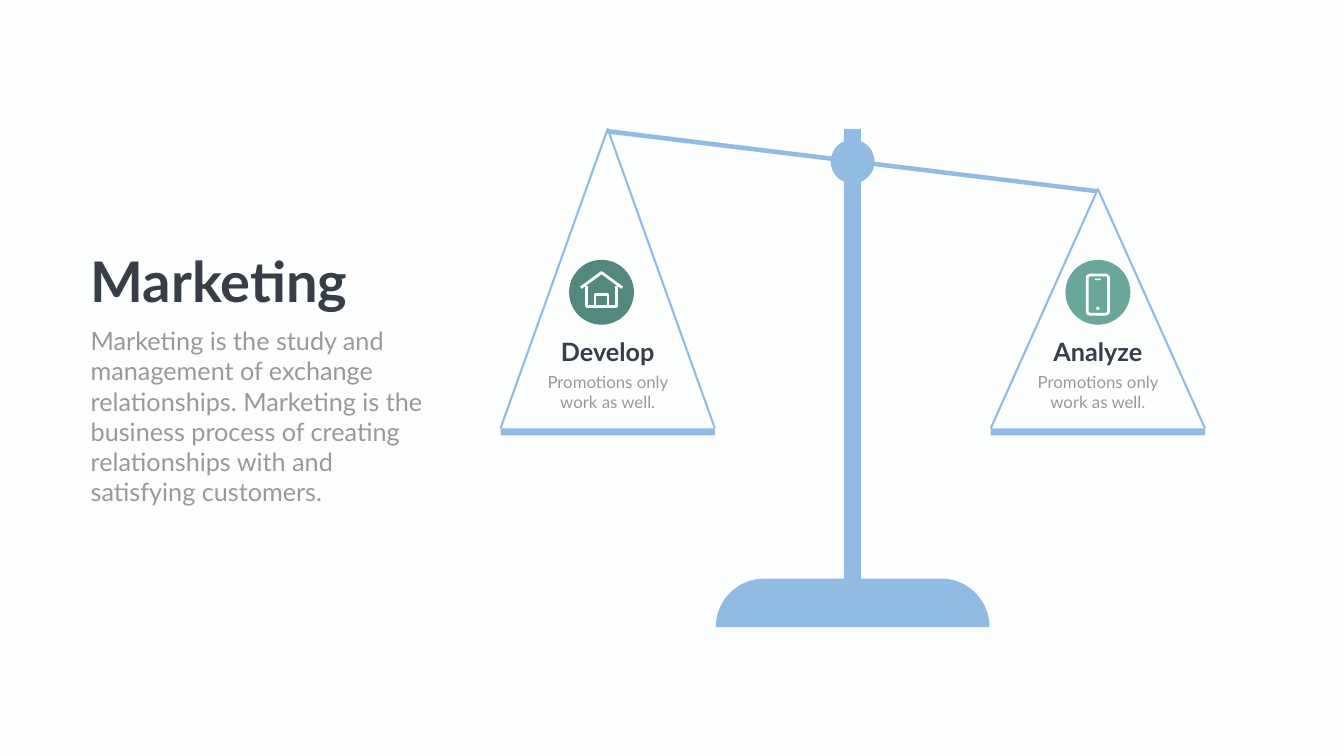
"""Build a slide with a tilted balance scale comparing two marketing steps."""
from math import cos, pi, sin

from pptx import Presentation
from pptx.dml.color import RGBColor
from pptx.enum.shapes import MSO_SHAPE
from pptx.enum.text import MSO_AUTO_SIZE, PP_ALIGN
from pptx.util import Cm, Pt

RECT, OVAL, ROUNDED = MSO_SHAPE.RECTANGLE, MSO_SHAPE.OVAL, MSO_SHAPE.ROUNDED_RECTANGLE
LEFT, CENTER = PP_ALIGN.LEFT, PP_ALIGN.CENTER
FIT = MSO_AUTO_SIZE.SHAPE_TO_FIT_TEXT
FONT = "Lato"
COLORS = {
    "background": "FDFFFE",
    "scale": "91BBE3",
    "develop": "52887E",
    "analyze": "69A79B",
    "icon": "FFFFFF",
    "title": "363E48",
    "body": "999999",
}
PAN_Y, PAN_W, PAN_H = 21.59, 10.8, 0.35
DISC_Y, DISC_D = 14.73, 3.27
ICON_LINE = 4


def rgb(name):
    """Return the named colour."""
    return RGBColor.from_string(COLORS[name])


def paint(sp, fill=None, line=None, width=3):
    """Set fill and line of a shape and drop its shadow."""
    sp.shadow.inherit = False
    if fill:
        sp.fill.solid()
        sp.fill.fore_color.rgb = rgb(fill)
    else:
        sp.fill.background()
    if line:
        sp.line.color.rgb = rgb(line)
        sp.line.width = Pt(width)
    else:
        sp.line.fill.background()
    return sp


def add_shape(s, kind, x, y, w, h, **style):
    """Add a preset shape by its top left corner."""
    return paint(s.shapes.add_shape(kind, Cm(x), Cm(y), Cm(w), Cm(h)), **style)


def add_centered(s, kind, cx, cy, w, h, **style):
    """Add a preset shape by its centre."""
    return add_shape(s, kind, cx - w / 2, cy - h / 2, w, h, **style)


def add_outline(s, points, close=False, **style):
    """Add a freeform through points."""
    start, *rest = [(Cm(x), Cm(y)) for x, y in points]
    builder = s.shapes.build_freeform(*start)
    builder.add_line_segments(rest, close=close)
    return paint(builder.convert_to_shape(), **style)


def add_text(s, text, x, y, w, h, size=36, color="body", bold=False, align=LEFT):
    """Add a wrapped text box with one formatted paragraph."""
    tf = s.shapes.add_textbox(Cm(x), Cm(y), Cm(w), Cm(h)).text_frame
    tf.word_wrap = True
    tf.auto_size = FIT
    p = tf.paragraphs[0]
    p.alignment = align
    r = p.add_run()
    r.text = text
    r.font.name, r.font.size, r.font.bold = FONT, Pt(size), bold
    r.font.color.rgb = rgb(color)


def add_base(s, x, y, w, h):
    """Add the foot, whose top corners are quarter circles of full height."""
    angles = [i * pi / 48 for i in range(25)]
    left = [(x + h - h * cos(a), y + h - h * sin(a)) for a in angles]
    right = [(2 * x + w - px, py) for px, py in reversed(left)]
    add_outline(s, left + right, close=True, fill="scale")


def add_stand(s):
    """Add pillar, tilted beam, foot and hub."""
    add_shape(s, RECT, 42.52, 6.5, 0.86, 23.62, fill="scale")
    beam = [(30.63, 6.5), (55.32, 9.53), (55.27, 9.75), (30.58, 6.73)]
    add_outline(s, beam, close=True, fill="scale")
    add_base(s, 36.07, 29.16, 13.79, 2.44)
    add_centered(s, OVAL, 42.96, 8.14, 2.21, 2.21, fill="scale")


def add_house(s, cx, cy):
    """Draw a house icon around a centre."""
    roof = [(-1.04, -0.23), (0, -0.99), (1.04, -0.23)]
    walls = [(-0.76, -0.33), (-0.76, 0.7), (0.76, 0.7), (0.76, -0.33)]
    door = [(-0.33, 0.7), (-0.33, 0.13), (0.33, 0.13), (0.33, 0.7)]
    for part in (roof, walls, door):
        points = [(cx + dx, cy + dy) for dx, dy in part]
        add_outline(s, points, line="icon", width=ICON_LINE)


def add_phone(s, cx, cy):
    """Draw a phone icon around a centre."""
    body = add_centered(s, ROUNDED, cx, cy + 0.12, 1.08, 1.97, line="icon", width=ICON_LINE)
    body.adjustments[0] = 0.14
    add_centered(s, OVAL, cx, cy + 0.81, 0.17, 0.17, fill="icon")
    speaker = add_centered(s, ROUNDED, cx, cy - 0.65, 0.3, 0.08, fill="icon")
    speaker.adjustments[0] = 0.5


def add_pan(s, cx, top, title, disc_x, color, icon):
    """Add a hanging pan with its icon, title and text."""
    x = cx - PAN_W / 2
    add_shape(s, RECT, x, PAN_Y, PAN_W, PAN_H, fill="scale")
    add_outline(s, [(x, PAN_Y), (cx, top), (x + PAN_W, PAN_Y)], line="scale")
    add_centered(s, OVAL, disc_x, DISC_Y, DISC_D, DISC_D, fill=color)
    icon(s, disc_x, DISC_Y)
    add_text(s, title, cx - 3.32, 16.81, 6.64, 1.8, color="title", bold=True, align=CENTER)
    add_text(s, "Promotions only work as well.", cx - 3.89, 18.59, 7.78, 2.31,
             size=24, align=CENTER)


def main():
    """Build and save the slide."""
    prs = Presentation()
    prs.slide_width, prs.slide_height = Cm(67.72), Cm(38.1)
    s = prs.slides.add_slide(prs.slide_layouts[6])
    s.background.fill.solid()
    s.background.fill.fore_color.rgb = rgb("background")

    add_stand(s)
    add_pan(s, 30.62, 6.5, "Develop", 30.31, "develop", add_house)
    add_pan(s, 55.32, 9.53, "Analyze", 55.32, "analyze", add_phone)
    add_text(s, "Marketing", 4.32, 12.32, 17.91, 3.68, size=80, color="title", bold=True)
    add_text(s, "Marketing is the study and management of exchange relationships. "
             "Marketing is the business process of creating relationships with "
             "and satisfying customers.", 4.32, 16.28, 17.42, 9.5)
    prs.save("out.pptx")


if __name__ == "__main__":
    main()
